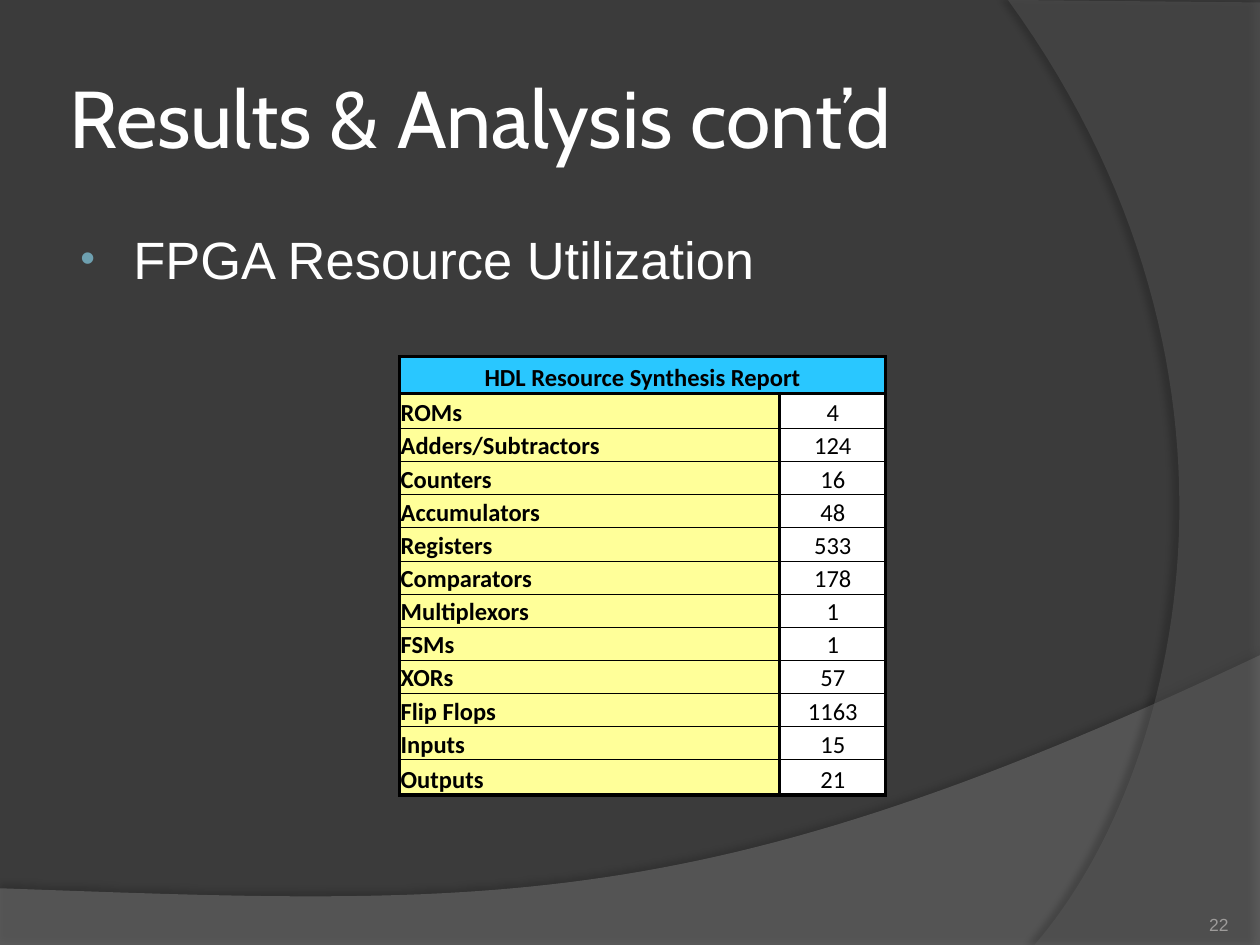
from pptx import Presentation
from pptx.dml.color import RGBColor
from pptx.enum.text import MSO_ANCHOR, PP_ALIGN
from pptx.oxml import parse_xml
from pptx.oxml.ns import nsdecls, qn
from pptx.util import Inches, Pt

LEFT, CENTER, RIGHT = PP_ALIGN.LEFT, PP_ALIGN.CENTER, PP_ALIGN.RIGHT
TOP, MIDDLE, BOTTOM = MSO_ANCHOR.TOP, MSO_ANCHOR.MIDDLE, MSO_ANCHOR.BOTTOM
THICK, THIN = 2, 0.5
RESOURCES = [
    ("ROMs", 4), ("Adders/Subtractors", 124), ("Counters", 16),
    ("Accumulators", 48), ("Registers", 533), ("Comparators", 178),
    ("Multiplexors", 1), ("FSMs", 1), ("XORs", 57),
    ("Flip Flops", 1163), ("Inputs", 15), ("Outputs", 21),
]


def color(value):
    return RGBColor.from_string(value)


def element(markup):
    return parse_xml(f"<wrap {nsdecls('a')}>{markup}</wrap>")[0]


def bezier(start, first, second, end, steps=60):
    points = []
    for step in range(1, steps + 1):
        t = step / steps
        weights = ((1 - t) ** 3, 3 * t * (1 - t) ** 2, 3 * t * t * (1 - t), t ** 3)
        points.append(tuple(
            sum(weight * value for weight, value in zip(weights, axis))
            for axis in zip(start, first, second, end)
        ))
    return points


class SlideWriter:
    font = "Arial"
    text_color = "FFFFFF"
    table_font = "Calibri"
    table_size = 14
    black = "000000"

    def __init__(self, slide, background):
        self.slide = slide
        slide.background.fill.solid()
        slide.background.fill.fore_color.rgb = color(background)

    def swoosh(self, points, fill, opacity, shadow_opacity, distance, direction):
        corners = [(Inches(x), Inches(y)) for x, y in points]
        builder = self.slide.shapes.build_freeform(*corners[0])
        builder.add_line_segments(corners[1:])
        shape = builder.convert_to_shape()
        shape.fill.solid()
        shape.fill.fore_color.rgb = color(fill)
        shape.line.fill.background()
        shape.shadow.inherit = False
        properties = shape.element.spPr
        properties.find(qn("a:solidFill"))[0].append(
            element(f'<a:alpha val="{opacity * 1000}"/>'))
        properties.find(qn("a:effectLst")).append(element(
            f'<a:outerShdw blurRad="{Pt(4)}" dist="{Pt(distance)}" '
            f'dir="{direction * 60000}" algn="ctr" rotWithShape="0">'
            f'<a:srgbClr val="{self.black}">'
            f'<a:alpha val="{shadow_opacity * 1000}"/></a:srgbClr></a:outerShdw>'))

    def style(self, para, size, font, fill, bold=False):
        for span in para.runs:
            span.font.size = Pt(size)
            span.font.name = font
            span.font.bold = bold
            span.font.color.rgb = color(fill)

    def text(self, words, place, size, font=None, fill=None, anchor=TOP,
             align=LEFT, insets=(0.1, 0.05), bullet=None):
        box = self.slide.shapes.add_textbox(*map(Inches, place))
        frame = box.text_frame
        frame.word_wrap = True
        frame.vertical_anchor = anchor
        frame.margin_left = frame.margin_right = Inches(insets[0])
        frame.margin_top = frame.margin_bottom = Inches(insets[1])
        frame.text = words
        para = frame.paragraphs[0]
        para.alignment = align
        if bullet:
            properties = para._p.get_or_add_pPr()
            properties.set("marL", str(Inches(0.46)))
            properties.set("indent", str(Inches(-0.42)))
            for markup in (
                f'<a:buClr><a:srgbClr val="{bullet}"/></a:buClr>',
                '<a:buSzPct val="80000"/>',
                f'<a:buFont typeface="{self.font}"/>',
                '<a:buChar char="•"/>',
            ):
                properties.append(element(markup))
        self.style(para, size, font or self.font, fill or self.text_color)

    def cell(self, cell, words, fill, bold, align, above, below):
        properties = cell._tc.get_or_add_tcPr()
        for side, width in zip("LRTB", (THICK, THICK, above, below)):
            properties.append(element(
                f'<a:ln{side} w="{Pt(width)}"><a:solidFill>'
                f'<a:srgbClr val="{self.black}"/></a:solidFill></a:ln{side}>'))
        cell.fill.solid()
        cell.fill.fore_color.rgb = color(fill)
        cell.vertical_anchor = BOTTOM
        cell.margin_left = cell.margin_right = cell.margin_top = Inches(0.01)
        cell.margin_bottom = 0
        cell.text_frame.text = words
        para = cell.text_frame.paragraphs[0]
        para.alignment = align
        self.style(para, self.table_size, self.table_font, self.black, bold)

    def report(self, heading, rows, place, widths, heights):
        table = self.slide.shapes.add_table(
            len(rows) + 1, len(widths), *map(Inches, place)).table
        for column, width in zip(table.columns, widths):
            column.width = Inches(width)
        for row, height in zip(table.rows, heights):
            row.height = Inches(height)
        table.cell(0, 0).merge(table.cell(0, 1))
        for column, words in enumerate((heading, "")):
            self.cell(table.cell(0, column), words, "29C7FF", True, CENTER,
                      THICK, THICK)
        for index, (name, count) in enumerate(rows, 1):
            above = THICK if index == 1 else THIN
            below = THICK if index == len(rows) else THIN
            self.cell(table.cell(index, 0), name, "FFFF99", True, LEFT,
                      above, below)
            self.cell(table.cell(index, 1), str(count), "FFFFFF", False, CENTER,
                      above, below)


def main():
    deck = Presentation()
    deck.slide_width, deck.slide_height = Inches(10), Inches(7.5)
    page = SlideWriter(deck.slides.add_slide(deck.slide_layouts[6]), "3B3B3B")

    lower_curve = bezier((10, 5.2), (5.59, 7.29), (3.91, 7.19), (0, 7.05))
    page.swoosh([(0, 7.05), (0, 7.51), (10, 7.51), (10, 5.2)] + lower_curve,
                "7F7F7F", 45, 35, 3.5, 270)
    right_curve = bezier((8.21, 7.5), (9.35, 6.19), (10.18, 3), (8, 0))
    page.swoosh([(10, 0.02), (10, 7.5), (8.21, 7.5)] + right_curve,
                "5E5E5E", 40, 45, 4, 180)

    page.text("Results & Analysis cont’d", (0.5, 0.3, 8.17, 1.25), 46,
              font="Cabin", anchor=MIDDLE, insets=(0.05, 0.05))
    page.text("FPGA Resource Utilization", (0.5, 1.75, 8.17, 4.95), 30,
              bullet="6EA0B0")

    width, height = 3.86, 3.48
    header, edge = 0.29, 0.28
    inner_count = len(RESOURCES) - 2
    inner = (height - header - 2 * edge) / inner_count
    page.report("HDL Resource Synthesis Report", RESOURCES,
                (3.17, 2.83, width, height), (3.02, 0.84),
                [header, edge] + [inner] * inner_count + [edge])

    page.text("22", (8.92, 7.02, 0.83, 0.4), 10, fill="9D9B9A",
              anchor=BOTTOM, align=RIGHT, insets=(0, 0))
    deck.save("out.pptx")


if __name__ == "__main__":
    main()
